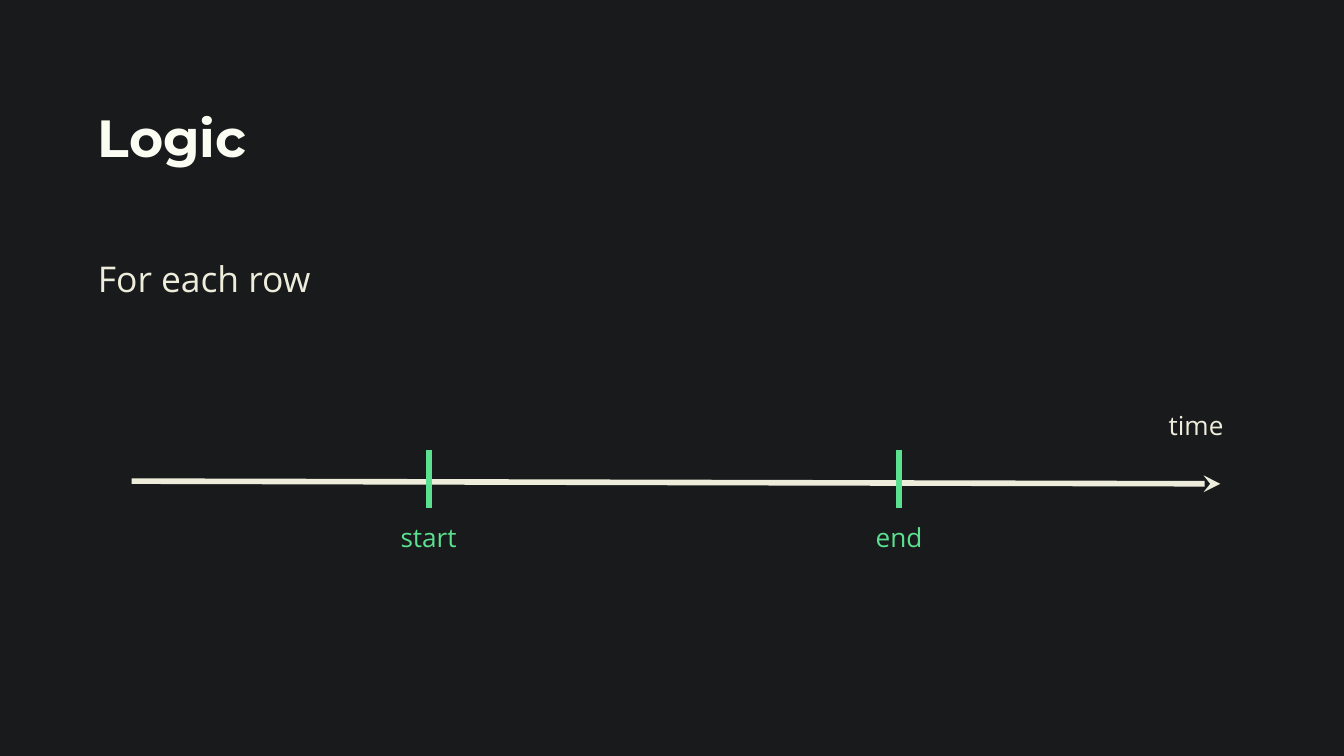
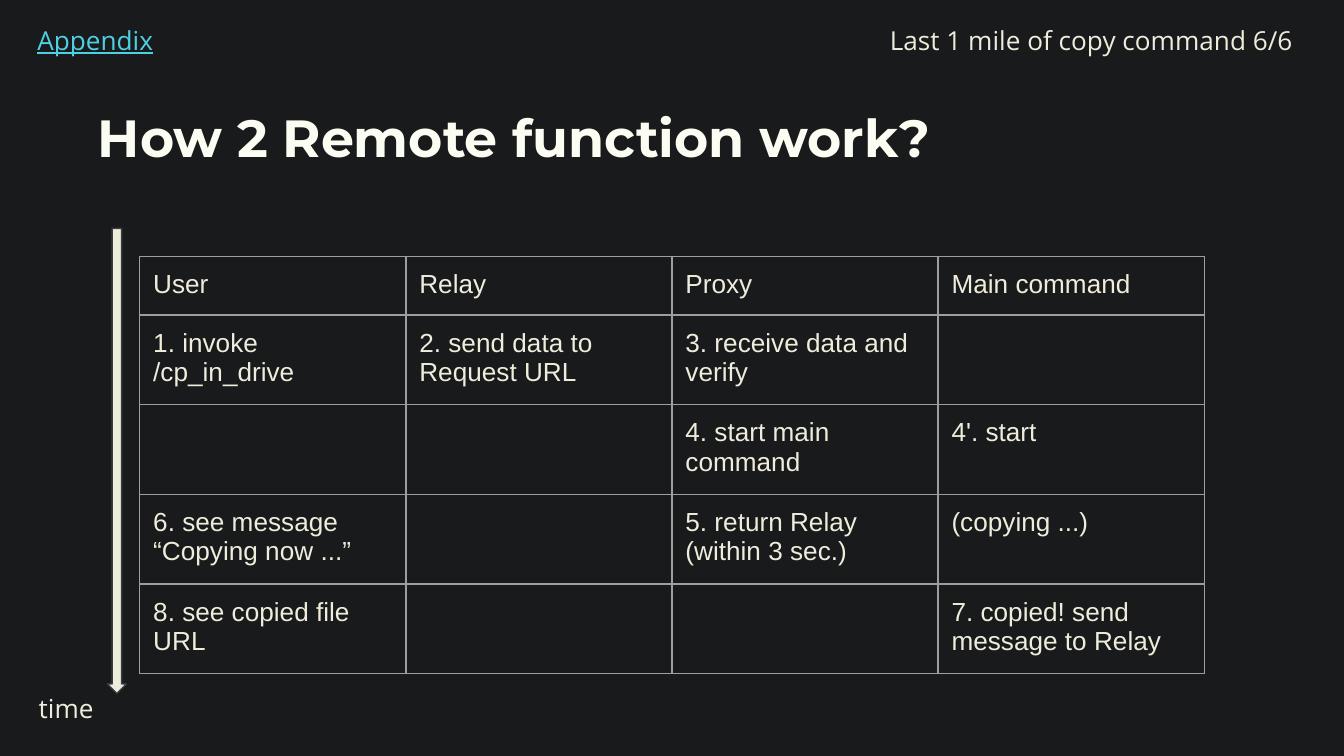
from dataclasses import dataclass

from lxml import etree
from pptx import Presentation
from pptx import util as u
from pptx.dml.color import RGBColor
from pptx.enum import shapes, text
from pptx.oxml.ns import qn
from pptx.slide import Slide
from pptx.text.text import TextFrame

BACKGROUND = "191A1C"
TITLE_COLOR = "FCFDF2"
CREAM = "EEEDDC"
GREEN = "5AE08E"
LINK_CYAN = "4DD0E1"
GRID_GRAY = "9E9E9E"
ARROW_EDGE = "393C41"

TITLE_FONT = "Montserrat"
BODY_FONT = "Open Sans"
TABLE_FONT = "Arial"
INSET = 0.1

LEFT, CENTER, RIGHT = text.PP_ALIGN.LEFT, text.PP_ALIGN.CENTER, text.PP_ALIGN.RIGHT
TOP, MIDDLE = text.MSO_ANCHOR.TOP, text.MSO_ANCHOR.MIDDLE


@dataclass(frozen=True)
class Box:
    left: float
    top: float
    width: float
    height: float

    def lengths(self) -> list[u.Length]:
        return [u.Inches(n) for n in (self.left, self.top, self.width, self.height)]


@dataclass(frozen=True)
class Moment:
    """A labelled tick on the timeline."""
    label: str
    x: float


TITLE_BOX = Box(0.63, 0.49, 8.79, 1.05)
BODY_BOX = Box(0.63, 1.72, 8.79, 1.05)

MOMENTS = [Moment("start", 3.19), Moment("end", 6.69)]
TICK_TOP, TICK_BOTTOM = 3.35, 3.78
LABEL_WIDTH, LABEL_HEIGHT = 0.76, 0.44

STEPS = [
    ["User", "Relay", "Proxy", "Main command"],
    ["1. invoke /cp_in_drive", "2. send data to Request URL", "3. receive data and verify", ""],
    ["", "", "4. start main command", "4'. start"],
    ["6. see message “Copying now ...”", "", "5. return Relay (within 3 sec.)", "(copying ...)"],
    ["8. see copied file URL", "", "", "7. copied! send message to Relay"],
]
TABLE_BOX = Box(1.04, 1.91, 3.28, 3.28)
COLUMN_WIDTH = 1.98
MIN_ROW_HEIGHT = 0.42


def color(value: str) -> RGBColor:
    return RGBColor.from_string(value)


def write(frame: TextFrame, words: str, *, size: float = 14, font: str = BODY_FONT,
          fill: str = CREAM, bold: bool = False, underline: bool = False,
          align: text.PP_ALIGN = LEFT, line_spacing: float = 1.0,
          space_after: float = 0) -> None:
    paragraph = frame.paragraphs[0]
    paragraph.alignment = align
    paragraph.line_spacing = line_spacing
    paragraph.space_after = u.Pt(space_after)
    paragraph.font.size = u.Pt(size)
    if not words:
        return
    run = paragraph.add_run()
    run.text = words
    run.font.size = u.Pt(size)
    run.font.name = font
    run.font.bold = bold
    run.font.underline = underline
    run.font.color.rgb = color(fill)


def add_text(slide: Slide, box: Box, words: str, *,
             anchor: text.MSO_ANCHOR = TOP, **style) -> None:
    frame = slide.shapes.add_textbox(*box.lengths()).text_frame
    frame.word_wrap = True
    frame.vertical_anchor = anchor
    frame.margin_left = frame.margin_right = u.Inches(INSET)
    frame.margin_top = frame.margin_bottom = u.Inches(INSET)
    write(frame, words, **style)


def add_line(slide: Slide, start: tuple[float, float], end: tuple[float, float],
             stroke: str, arrowhead: str = "") -> None:
    line = slide.shapes.add_connector(
        shapes.MSO_CONNECTOR.STRAIGHT, *[u.Inches(n) for n in (*start, *end)])
    line.line.color.rgb = color(stroke)
    line.line.width = u.Pt(3)
    properties = line._element.spPr
    if arrowhead:
        etree.SubElement(properties.find(qn("a:ln")), qn("a:tailEnd"), type=arrowhead)
    etree.SubElement(properties, qn("a:effectLst"))


def add_titled_slide(deck: Presentation, title: str) -> Slide:
    slide = deck.slides.add_slide(deck.slide_layouts[6])
    slide.background.fill.solid()
    slide.background.fill.fore_color.rgb = color(BACKGROUND)
    add_text(slide, TITLE_BOX, title, anchor=MIDDLE, size=28, font=TITLE_FONT,
             fill=TITLE_COLOR, bold=True)
    return slide


def add_cell_borders(cell) -> None:
    properties = cell._tc.get_or_add_tcPr()
    for side in ("lnL", "lnR", "lnT", "lnB"):
        border = etree.SubElement(properties, qn(f"a:{side}"), w=str(u.Pt(0.75)))
        solid = etree.SubElement(border, qn("a:solidFill"))
        etree.SubElement(solid, qn("a:srgbClr"), val=GRID_GRAY)


def add_step_table(slide: Slide) -> None:
    """Rows start at the minimum height and grow with their text."""
    holder = slide.shapes.add_table(len(STEPS), len(STEPS[0]), *TABLE_BOX.lengths())
    table = holder.table
    table.first_row = table.horz_banding = False
    for column in table.columns:
        column.width = u.Inches(COLUMN_WIDTH)
    for row, entries in zip(table.rows, STEPS):
        row.height = u.Inches(MIN_ROW_HEIGHT)
        for cell, entry in zip(row.cells, entries):
            cell.margin_left = cell.margin_right = u.Inches(INSET)
            cell.margin_top = cell.margin_bottom = u.Inches(INSET)
            add_cell_borders(cell)
            cell.fill.background()
            write(cell.text_frame, entry, font=TABLE_FONT)
    holder.width, holder.height = u.Inches(TABLE_BOX.width), u.Inches(TABLE_BOX.height)


def add_time_arrow(slide: Slide, box: Box) -> None:
    arrow = slide.shapes.add_shape(shapes.MSO_SHAPE.DOWN_ARROW, *box.lengths())
    arrow.shadow.inherit = False
    arrow.fill.solid()
    arrow.fill.fore_color.rgb = color(CREAM)
    arrow.line.color.rgb = color(ARROW_EDGE)
    arrow.line.width = u.Pt(0.75)


def build_logic_slide(deck: Presentation) -> None:
    slide = add_titled_slide(deck, "Logic")
    add_text(slide, BODY_BOX, "For each row", size=19, line_spacing=1.3, space_after=16)
    add_text(slide, Box(8.52, 2.95, LABEL_WIDTH, LABEL_HEIGHT), "time", align=CENTER)
    add_line(slide, (0.98, 3.58), (9.08, 3.6), CREAM, arrowhead="stealth")
    for moment in MOMENTS:
        label_box = Box(moment.x - LABEL_WIDTH / 2, TICK_BOTTOM, LABEL_WIDTH, LABEL_HEIGHT)
        add_text(slide, label_box, moment.label, fill=GREEN, align=CENTER)
        add_line(slide, (moment.x, TICK_TOP), (moment.x, TICK_BOTTOM), GREEN)


def build_functions_slide(deck: Presentation) -> None:
    slide = add_titled_slide(deck, "How 2 Remote function work?")
    add_step_table(slide)
    add_time_arrow(slide, Box(0.8, 1.7, 0.14, 3.46))
    add_text(slide, Box(0.19, 5.05, 0.93, 0.38), "time")
    add_text(slide, Box(0.18, 0.08, 1.1, 0.43), "Appendix", fill=LINK_CYAN, underline=True)
    add_text(slide, Box(6.25, 0.08, 3.47, 0.43), "Last 1 mile of copy command 6/6",
             align=RIGHT)


def main() -> None:
    deck = Presentation()
    deck.slide_width = u.Inches(10)
    deck.slide_height = deck.slide_width * 9 // 16
    build_logic_slide(deck)
    build_functions_slide(deck)
    deck.save("out.pptx")


if __name__ == "__main__":
    main()
